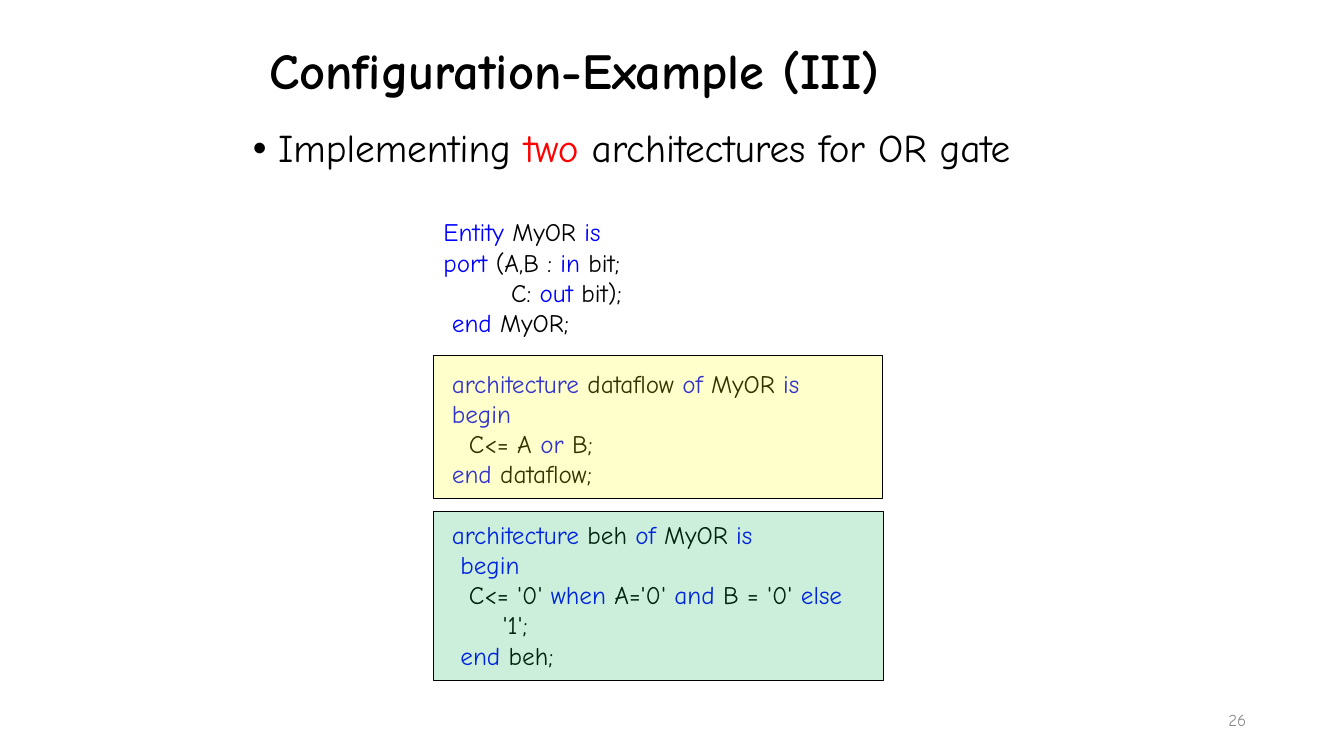
import itertools

import lxml.etree
import pptx
import pptx.dml.color
import pptx.enum.shapes
import pptx.enum.text
import pptx.oxml.ns
import pptx.util

Inches = pptx.util.Inches
Pt = pptx.util.Pt
Anchor = pptx.enum.text.MSO_ANCHOR
qn = pptx.oxml.ns.qn

TITLE = "Configuration-Example (III)"
POINT = "Implementing two architectures for OR gate"
PAGE_NUMBER = "26"
KEYWORDS = {"Entity", "is", "port", "in", "out", "end", "architecture",
            "of", "begin", "or", "when", "and", "else"}

# Each block lists (indent in characters, code line).
CODE_BLOCKS = [
    [(0, "Entity MyOR is"),
     (0, "port (A,B : in bit;"),
     (8, "C: out bit);"),
     (1, "end MyOR;")],
    [(1, "architecture dataflow of MyOR is"),
     (1, "begin"),
     (3, "C<= A or B;"),
     (1, "end dataflow;")],
    [(1, "architecture beh of MyOR is"),
     (2, "begin"),
     (3, "C<= '0' when A='0' and B = '0' else"),
     (7, "'1';"),
     (2, "end beh;")],
]

THEME = {
    "font": "Comic Neue",
    "text": "000000", "accent": "FF0000", "keyword": "0000FF", "muted": "8C8C8C",
    "dataflow": "FFFF00", "behaviour": "00B050", "outline": "000000",
    "title_size": 36, "point_size": 28, "code_size": 18, "number_size": 12,
    "tint_percent": 20, "outline_width": 0.75,
    "indent_step": 0.084, "block_gap": 21.6,
}

# (left, top, width, height), fill
HIGHLIGHTS = [
    ((4.3, 3.53, 4.45, 1.42), "dataflow"),
    ((4.3, 5.07, 4.46, 1.68), "behaviour"),
]


def rgb(role):
    """Return the theme colour for a role."""
    return pptx.dml.color.RGBColor.from_string(THEME[role])


def add_frame(slide, box, anchor=Anchor.TOP):
    """Add a wrapping text box and return its text frame."""
    frame = slide.shapes.add_textbox(*map(Inches, box)).text_frame
    frame.word_wrap = True
    frame.vertical_anchor = anchor
    return frame


def write(paragraph, text, size, color="text", marked=(), mark_color="text", bold=False):
    """Write text run by run, giving the marked words their own colour."""
    words = text.split(" ")
    pieces = [(word + " ", word in marked) for word in words[:-1]]
    pieces.append((words[-1], words[-1] in marked))
    for is_marked, group in itertools.groupby(pieces, key=lambda piece: piece[1]):
        run = paragraph.add_run()
        run.text = "".join(piece[0] for piece in group)
        run.font.name = THEME["font"]
        run.font.size = Pt(THEME[size])
        run.font.bold = bold
        run.font.color.rgb = rgb(mark_color if is_marked else color)


def set_indent(paragraph, left, first=0):
    """Set the left margin and first-line indent in inches."""
    properties = paragraph._p.get_or_add_pPr()
    properties.set("marL", str(Inches(left)))
    properties.set("indent", str(Inches(first)))
    return properties


def add_point(slide):
    """Add the bulleted statement."""
    point = add_frame(slide, (2.41, 1.23, 9.05, 1.26)).paragraphs[0]
    point.line_spacing = 0.9
    point.space_before = Pt(10)
    properties = set_indent(point, 0.25, -0.25)
    bullet_font = lxml.etree.SubElement(properties, qn("a:buFont"))
    bullet_font.set("typeface", "Arial")
    lxml.etree.SubElement(properties, qn("a:buChar")).set("char", "\u2022")
    write(point, POINT, "point_size", marked={"two"}, mark_color="accent")


def add_code(slide):
    """Add the code listing, with one line's gap between blocks."""
    listing = add_frame(slide, (4.3, 2.1, 5, 4.65))
    line = None
    for block in CODE_BLOCKS:
        for row, (indent, code) in enumerate(block):
            starts_later_block = line is not None and row == 0
            line = listing.paragraphs[0] if line is None else listing.add_paragraph()
            set_indent(line, indent * THEME["indent_step"])
            if starts_later_block:
                line.space_before = Pt(THEME["block_gap"])
            write(line, code, "code_size", marked=KEYWORDS, mark_color="keyword")


def add_highlight(slide, box, fill):
    """Lay a translucent outlined rectangle over an architecture."""
    highlight = slide.shapes.add_shape(
        pptx.enum.shapes.MSO_SHAPE.RECTANGLE, *map(Inches, box))
    highlight.shadow.inherit = False
    highlight.fill.solid()
    highlight.fill.fore_color.rgb = rgb(fill)
    tint = highlight._element.spPr.find(qn("a:solidFill"))[0]
    lxml.etree.SubElement(tint, qn("a:alpha")).set("val", str(THEME["tint_percent"] * 1000))
    highlight.line.color.rgb = rgb("outline")
    highlight.line.width = Pt(THEME["outline_width"])


def build():
    """Build and save the slide."""
    deck = pptx.Presentation()
    deck.slide_width, deck.slide_height = Inches(13.33), Inches(7.5)
    slide = deck.slides.add_slide(deck.slide_layouts[6])

    title = add_frame(slide, (2.57, 0, 11.5, 1.45), Anchor.MIDDLE).paragraphs[0]
    title.line_spacing = 0.9
    write(title, TITLE, "title_size", bold=True)

    add_point(slide)
    add_code(slide)
    for box, fill in HIGHLIGHTS:
        add_highlight(slide, box, fill)

    number = add_frame(slide, (9.46, 6.94, 3, 0.4), Anchor.MIDDLE).paragraphs[0]
    number.alignment = pptx.enum.text.PP_ALIGN.RIGHT
    write(number, PAGE_NUMBER, "number_size", color="muted")

    deck.save("out.pptx")


build()
